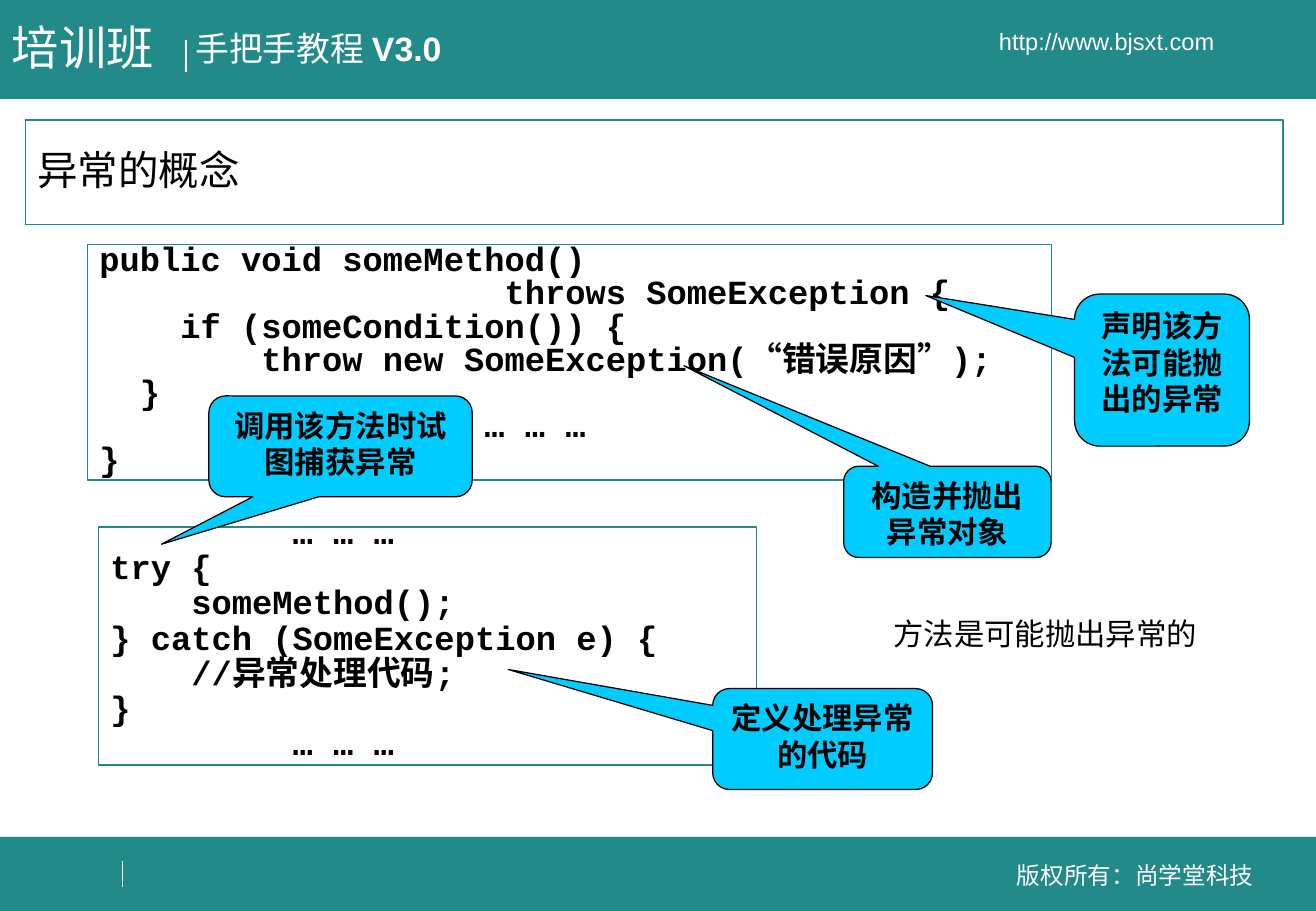
import pptx
import pptx.util
import pptx.dml.color
import pptx.enum.shapes
import pptx.enum.text
import pptx.oxml.ns
from lxml import etree

Cm = pptx.util.Cm
Pt = pptx.util.Pt
SHAPE = pptx.enum.shapes.MSO_SHAPE
ALIGN = pptx.enum.text.PP_ALIGN
ANCHOR = pptx.enum.text.MSO_ANCHOR

COLOURS = {"teal": "228A88", "cyan": "00CCFF", "black": "000000", "white": "FFFFFF"}
CJK_FONT = "Noto Sans CJK SC"
WIDTH, HEIGHT = 27.53, 19.05

METHOD_CODE = [
    "public void someMethod()",
    "                    throws SomeException {",
    "    if (someCondition()) {",
    "        throw new SomeException(“错误原因”);",
    "  }",
    "                   … … …",
    "}",
]
CALLER_CODE = [
    "         … … …",
    "try {",
    "    someMethod();",
    "} catch (SomeException e) {",
    "    //异常处理代码;",
    "}",
    "         … … …",
]
CALLOUTS = [
    ("声明该方法可能抛出的异常", (22.48, 6.15, 3.66, 3.18), (-1.35, -0.49)),
    ("构造并抛出异常对象", (17.65, 9.75, 4.34, 1.91), (-1.27, -1.6)),
    ("调用该方法时试图捕获异常", (4.37, 8.28, 5.51, 2.11), (-0.68, 0.97)),
    ("定义处理异常的代码", (14.91, 14.4, 4.6, 2.11), (-1.43, -0.69)),
]


def rgb(name):
    return pptx.dml.color.RGBColor.from_string(COLOURS[name])


def add_run(paragraph, text, size, colour, font="Arial", bold=False):
    run = paragraph.add_run()
    run.text = text
    run.font.size = Pt(size)
    run.font.bold = bold
    run.font.color.rgb = rgb(colour)
    run.font.name = font
    east_asian = etree.SubElement(run.font._element, pptx.oxml.ns.qn("a:ea"))
    east_asian.set("typeface", CJK_FONT)


def add_panel(slide, kind, box, fill, line, weight=0.75):
    panel = slide.shapes.add_shape(kind, *map(Cm, box))
    panel.shadow.inherit = False
    if fill:
        panel.fill.solid()
        panel.fill.fore_color.rgb = rgb(fill)
    else:
        panel.fill.background()
    panel.line.color.rgb = rgb(line)
    panel.line.width = Pt(weight)
    panel.text_frame.word_wrap = True
    panel.text_frame.vertical_anchor = ANCHOR.TOP
    return panel


def add_label(slide, box, runs, size, colour="white", align=ALIGN.LEFT, anchor=ANCHOR.TOP):
    frame = slide.shapes.add_textbox(*map(Cm, box)).text_frame
    frame.word_wrap = True
    frame.vertical_anchor = anchor
    paragraph = frame.paragraphs[0]
    paragraph.alignment = align
    for text, bold in runs:
        add_run(paragraph, text, size, colour, bold=bold)


def add_divider(slide, x, top, bottom):
    divider = slide.shapes.add_connector(
        pptx.enum.shapes.MSO_CONNECTOR.STRAIGHT, Cm(x), Cm(top), Cm(x), Cm(bottom))
    divider.line.color.rgb = rgb("white")
    divider.line.width = Pt(0.75)
    etree.SubElement(divider._element.spPr, pptx.oxml.ns.qn("a:effectLst"))


def add_header(slide, box):
    left, top, width, height = box
    add_panel(slide, SHAPE.RECTANGLE, box, "teal", "teal", 0.25)
    add_divider(slide, left + 3.89, top + 0.84, top + 1.5)
    add_label(slide, (left, top + 0.25, 3.8, 1.45), [("培训班", False)], 28)
    add_label(slide, (left + 3.84, top + 0.46, 6.5, 1.12),
              [("手把手教程 ", False), ("V3.0", True)], 20)
    add_label(slide, (left + width - 8.73, top + 0.43, 8.71, 0.86),
              [("http://www.bjsxt.com", False)], 14, align=ALIGN.CENTER, anchor=ANCHOR.MIDDLE)


def add_footer(slide, box):
    left, top, width, height = box
    add_panel(slide, SHAPE.RECTANGLE, box, "teal", "teal", 0.25)
    add_divider(slide, left + 2.57, top + 0.51, top + 1.04)
    add_label(slide, (left + width - 6.98, top + 0.36, 6.4, 0.86),
              [("版权所有：尚学堂科技", False)], 14, align=ALIGN.CENTER, anchor=ANCHOR.MIDDLE)


def add_title(slide, box):
    title = slide.shapes.title
    title.left, title.top, title.width, title.height = map(Cm, box)
    title.line.color.rgb = rgb("teal")
    title.line.width = Pt(0.75)
    frame = title.text_frame
    frame.auto_size = pptx.enum.text.MSO_AUTO_SIZE.NONE
    frame.vertical_anchor = ANCHOR.MIDDLE
    heading = frame.paragraphs[0]
    heading.alignment = ALIGN.LEFT
    heading.line_spacing = 0.9
    add_run(heading, "异常的概念", 24, "black", CJK_FONT)


def add_code(slide, box, lines, spacing, top_inset):
    frame = add_panel(slide, SHAPE.RECTANGLE, box, None, "teal").text_frame
    frame.margin_top = Cm(top_inset)
    for index, line in enumerate(lines):
        paragraph = frame.add_paragraph() if index else frame.paragraphs[0]
        paragraph.alignment = ALIGN.LEFT
        paragraph.line_spacing = spacing
        paragraph.space_before = Pt(12.5 if index else 0)
        add_run(paragraph, line, 20, "black", "Courier New", True)


def add_callout(slide, box, text, tip):
    callout = add_panel(slide, SHAPE.ROUNDED_RECTANGULAR_CALLOUT, box, "cyan", "black")
    callout.adjustments[0], callout.adjustments[1] = tip
    paragraph = callout.text_frame.paragraphs[0]
    paragraph.alignment = ALIGN.CENTER
    add_run(paragraph, text, 18, "black", "Times New Roman", True)


def main():
    deck = pptx.Presentation()
    deck.slide_width, deck.slide_height = Cm(WIDTH), Cm(HEIGHT)
    slide = deck.slides.add_slide(deck.slide_layouts[5])
    add_footer(slide, (0, 17.5, WIDTH, 1.55))
    add_header(slide, (0, 0, WIDTH, 2.06))
    add_title(slide, (0.53, 2.51, 26.31, 2.18))
    add_code(slide, (1.83, 5.11, 20.17, 4.93), METHOD_CODE, 0.3, 0.37)
    add_code(slide, (2.06, 11.02, 13.77, 4.98), CALLER_CODE, 0.35, 0.13)
    for text, box, tip in CALLOUTS:
        add_callout(slide, box, text, tip)
    add_label(slide, (18.44, 12.73, 9.07, 1.02), [("方法是可能抛出异常的", False)], 18, "black")
    deck.save("out.pptx")


if __name__ == "__main__":
    main()
